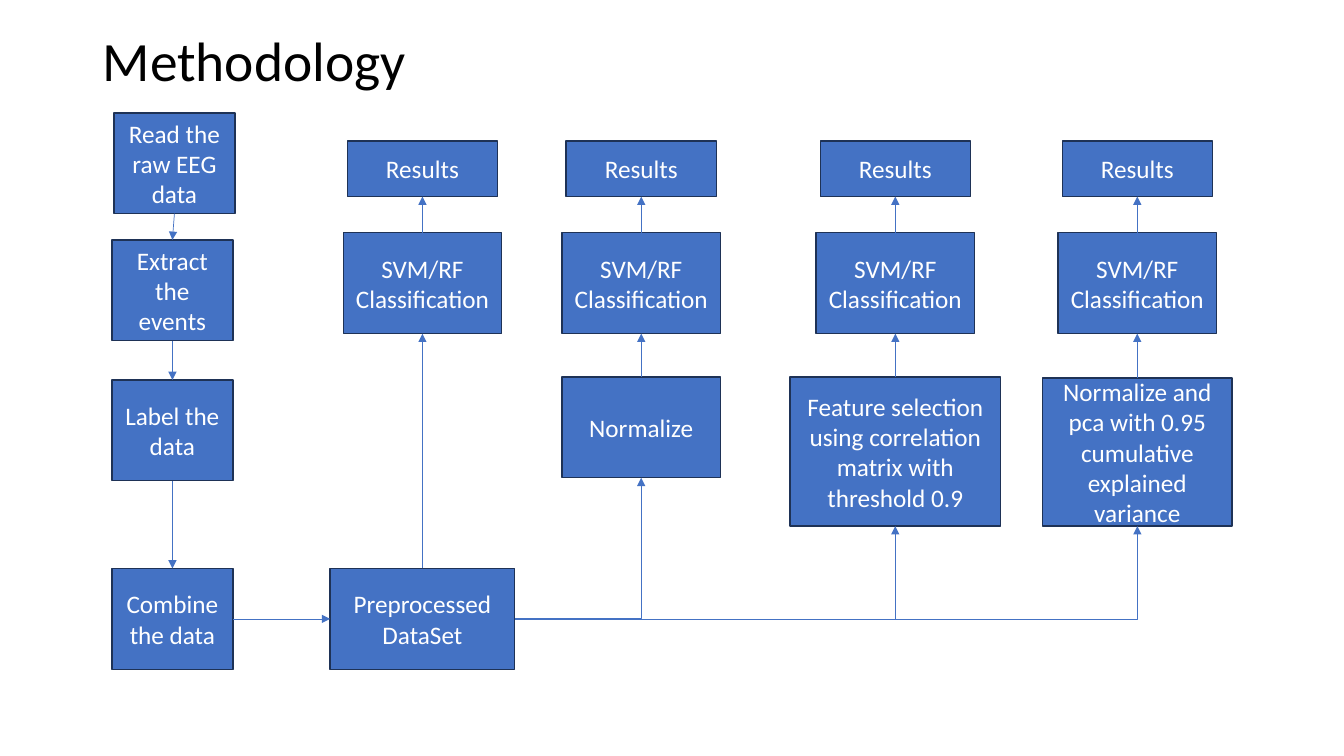
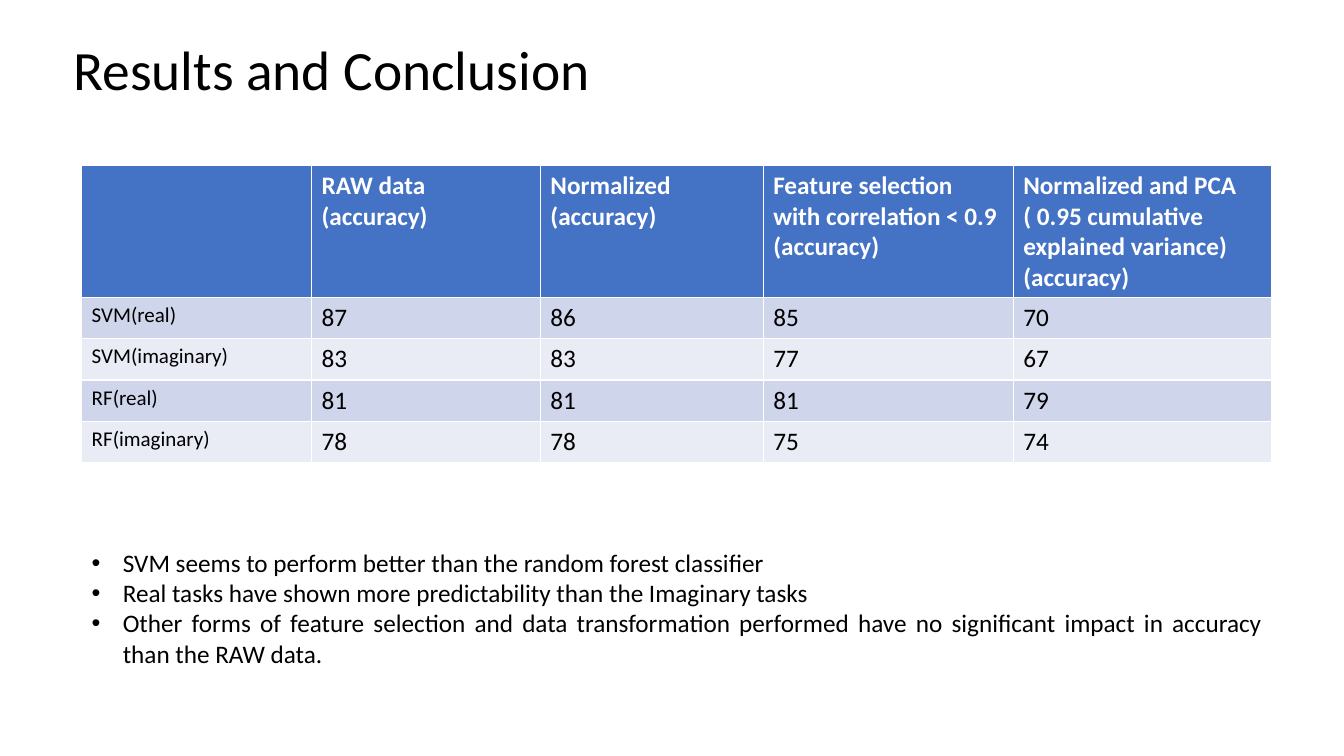
from dataclasses import dataclass
from typing import NamedTuple

from lxml.etree import SubElement
from pptx import Presentation
from pptx.dml.color import RGBColor as Rgb
from pptx.enum.shapes import MSO_CONNECTOR as Link, MSO_SHAPE as Kind
from pptx.enum.text import MSO_ANCHOR as Anchor, PP_ALIGN as Align
from pptx.oxml import parse_xml
from pptx.oxml.ns import nsdecls, qn
from pptx.shapes.autoshape import Shape
from pptx.slide import Slide
from pptx.text.text import TextFrame
from pptx.util import Inches, Pt


@dataclass(frozen=True)
class Theme:
    font: str = "Calibri"
    blue: Rgb = Rgb(0x44, 0x72, 0xC4)
    edge: Rgb = Rgb(0x1E, 0x32, 0x56)
    black: Rgb = Rgb(0, 0, 0)
    white: Rgb = Rgb(255, 255, 255)
    bands: tuple[Rgb, Rgb] = (Rgb(0xCF, 0xD5, 0xEA), Rgb(0xE9, 0xEB, 0xF5))
    title: float = 39.6
    body: float = 18
    label: float = 15


class Box(NamedTuple):
    text: str
    mid: float
    top: float
    width: float
    height: float = 1


class Branch(NamedTuple):
    mid: float
    prep: Box | None


THEME = Theme()

# Connection sites of a rectangle
TOP, LEFT, BASE, RIGHT = range(4)

# Flow chart
STEPS = [
    Box("Read the raw EEG data", 1.73, 1.12, 1.2),
    Box("Extract the events", 1.71, 2.38, 1.2),
    Box("Label the data", 1.71, 3.77, 1.2),
    Box("Combine the data", 1.71, 5.64, 1.2),
]
DATA = Box("Preprocessed DataSet", 4.19, 5.64, 1.83)
BRANCHES = [
    Branch(4.19, None),
    Branch(6.36, Box("Normalize", 6.36, 3.74, 1.57)),
    Branch(8.88, Box("Feature selection using correlation matrix with threshold 0.9",
                     8.88, 3.74, 2.09, 1.48)),
    Branch(11.28, Box("Normalize and pca with 0.95 cumulative explained variance",
                      11.28, 3.75, 1.88, 1.47)),
]

# Results
WIDTHS = [2.28, 2.27, 2.21, 2.48, 2.56]
HEIGHTS = [1.31] + [0.41] * 4
ROWS = [
    ("", "RAW data\n(accuracy)", "Normalized\n(accuracy)",
     "Feature selection with correlation < 0.9\n(accuracy)",
     "Normalized and PCA ( 0.95 cumulative explained variance)\n(accuracy)"),
    ("SVM(real)", "87", "86", "85", "70"),
    ("SVM(imaginary)", "83", "83", "77", "67"),
    ("RF(real)", "81", "81", "81", "79"),
    ("RF(imaginary)", "78", "78", "75", "74"),
]
POINTS = [
    "SVM seems to perform better than the random forest classifier",
    "Real tasks have shown more predictability than the Imaginary tasks",
    "Other forms of feature selection and data transformation performed have "
    "no significant impact in accuracy than the RAW data.",
]


def write(frame: TextFrame, text: str, size: float, color: Rgb,
          align: Align = Align.LEFT, bold: bool = False) -> None:
    frame.word_wrap = True
    frame.text = text
    for para in frame.paragraphs:
        para.alignment = align
        font = para.font
        font.name, font.size, font.bold = THEME.font, Pt(size), bold
        font.color.rgb = color


def add_text(slide: Slide, left: float, top: float, width: float, height: float) -> TextFrame:
    spot = map(Inches, (left, top, width, height))
    return slide.shapes.add_textbox(*spot).text_frame


def add_title(slide: Slide, text: str, left: float, top: float,
              width: float, height: float) -> None:
    frame = add_text(slide, left, top, width, height)
    frame.vertical_anchor = Anchor.MIDDLE
    write(frame, text, THEME.title, THEME.black)
    frame.paragraphs[0].line_spacing = 0.9


def add_box(slide: Slide, box: Box) -> Shape:
    spot = map(Inches, (box.mid - box.width / 2, box.top, box.width, box.height))
    shape = slide.shapes.add_shape(Kind.RECTANGLE, *spot)
    shape.shadow.inherit = False
    shape.fill.solid()
    shape.fill.fore_color.rgb = THEME.blue
    shape.line.color.rgb = THEME.edge
    shape.line.width = Pt(1)
    shape.text_frame.vertical_anchor = Anchor.MIDDLE
    write(shape.text_frame, box.text, THEME.body, THEME.white, Align.CENTER)
    return shape


def join(slide: Slide, start: Shape, out: int, end: Shape, into: int,
         bent: bool = False) -> None:
    line = slide.shapes.add_connector(Link.ELBOW if bent else Link.STRAIGHT, 0, 0, 0, 0)
    line.begin_connect(start, out)
    line.end_connect(end, into)
    line.line.color.rgb = THEME.blue
    line.line.width = Pt(0.5)
    props = line._element.spPr
    if bent:  # a single corner
        props.find(qn("a:prstGeom")).set("prst", "bentConnector2")
    SubElement(props.find(qn("a:ln")), qn("a:tailEnd"), type="triangle")
    SubElement(props, qn("a:effectLst"))


def add_flow(slide: Slide) -> None:
    # Preparation column
    steps = [add_box(slide, step) for step in STEPS]
    for start, end in zip(steps, steps[1:]):
        join(slide, start, BASE, end, TOP)
    data = add_box(slide, DATA)
    join(slide, steps[-1], RIGHT, data, LEFT)

    # One branch per way of treating the data
    for mid, prep in BRANCHES:
        model = add_box(slide, Box("SVM/RF\nClassification", mid, 2.31, 1.57))
        result = add_box(slide, Box("Results", mid, 1.4, 1.49, 0.55))
        source = data
        if prep:
            source = add_box(slide, prep)
            join(slide, data, RIGHT, source, BASE, bent=True)
        join(slide, source, TOP, model, BASE)
        join(slide, model, TOP, result, BASE)


def add_grid(slide: Slide) -> None:
    spot = map(Inches, (0.81, 1.64, sum(WIDTHS), sum(HEIGHTS)))
    grid = slide.shapes.add_table(len(ROWS), len(WIDTHS), *spot).table
    for col, width in zip(grid.columns, WIDTHS):
        col.width = Inches(width)
    for r, (row, height) in enumerate(zip(ROWS, HEIGHTS)):
        grid.rows[r].height = Inches(height)
        head = r == 0
        for c, text in enumerate(row):
            cell = grid.cell(r, c)
            cell.fill.solid()
            cell.fill.fore_color.rgb = THEME.blue if head else THEME.bands[(r - 1) % 2]
            size = THEME.body if head or c else THEME.label
            write(cell.text_frame, text, size,
                  THEME.white if head else THEME.black, bold=head)


def add_points(slide: Slide) -> None:
    frame = add_text(slide, 0.81, 5.38, 11.81, 1.31)
    write(frame, "\n".join(POINTS), THEME.body, THEME.black, Align.JUSTIFY)
    indent = Inches(0.31)
    for para in frame.paragraphs:
        props = para._p.get_or_add_pPr()
        props.set("marL", str(indent))
        props.set("indent", str(-indent))
        props.insert(0, parse_xml(f'<a:buFont {nsdecls("a")} typeface="Arial"/>'))
        props.insert(1, parse_xml(f'<a:buChar {nsdecls("a")} char="•"/>'))


def main() -> None:
    deck = Presentation()
    deck.slide_width, deck.slide_height = Inches(13.33), Inches(7.5)
    blank = deck.slide_layouts[6]

    # Methodology
    slide = deck.slides.add_slide(blank)
    add_title(slide, "Methodology", 0.92, 0.4, 11.5, 0.46)
    add_flow(slide)

    # Results and conclusion
    slide = deck.slides.add_slide(blank)
    add_title(slide, "Results and Conclusion", 0.63, 0.46, 6.04, 0.51)
    add_grid(slide)
    add_points(slide)

    deck.save("out.pptx")


if __name__ == "__main__":
    main()
